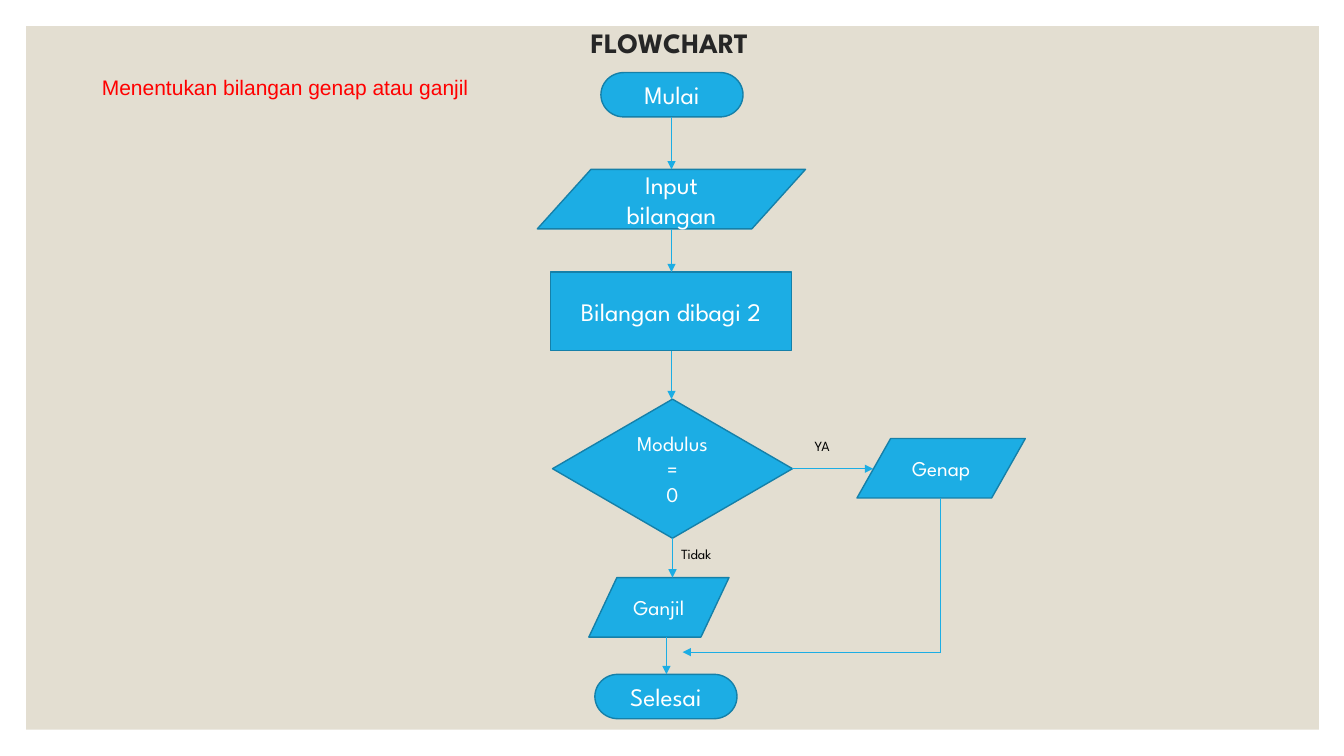
from collections import namedtuple

from lxml import etree
from pptx import Presentation
from pptx.dml.color import RGBColor
from pptx.enum.shapes import MSO_CONNECTOR, MSO_SHAPE
from pptx.enum.text import MSO_ANCHOR, MSO_AUTO_SIZE, PP_ALIGN
from pptx.oxml.ns import qn
from pptx.util import Pt

PX = 9144  # 100 px to the inch
TERMINATOR = MSO_SHAPE.FLOWCHART_TERMINATOR
DATA = MSO_SHAPE.FLOWCHART_DATA
DECISION = MSO_SHAPE.FLOWCHART_DECISION
RECTANGLE = MSO_SHAPE.RECTANGLE
STRAIGHT = MSO_CONNECTOR.STRAIGHT
MIDDLE, TOP = MSO_ANCHOR.MIDDLE, MSO_ANCHOR.TOP
CENTER, LEFT = PP_ALIGN.CENTER, PP_ALIGN.LEFT
NO_AUTOFIT = MSO_AUTO_SIZE.NONE

HEADING_FONT, BODY_FONT = "League Spartan", "Arial"
SAND, BLUE, DARK_BLUE = "E3DED1", "1CADE4", "1580A9"
WHITE, BLACK, CHARCOAL, RED = "FFFFFF", "000000", "262626", "FF0000"

Box = namedtuple("Box", "x y w h")

# Step: preset shape, text size, box inside the flowchart
STEPS = {
    "Mulai": (TERMINATOR, 18, Box(63, 0, 141, 44)),
    "Input bilangan": (DATA, 18, Box(0, 96, 266, 59)),
    "Bilangan dibagi 2": (RECTANGLE, 18, Box(13, 198, 239, 78)),
    "Modulus\n=\n0": (DECISION, 15, Box(15, 324, 238, 138)),
    "Genap": (DATA, 15, Box(317, 363, 167, 59)),
    "Ganjil": (DATA, 15, Box(51, 501, 139, 59)),
    "Selesai": (TERMINATOR, 18, Box(57, 597, 141, 44)),
}
SPINE = ["Mulai", "Input bilangan", "Bilangan dibagi 2", "Modulus\n=\n0", "Ganjil", "Selesai"]
SPINE_X = [133, 133, 133, 134, 128]
ANSWERS = {"YA": Box(256, 359, 53, 22), "Tidak": Box(128, 463, 59, 28)}


def rgb(value):
    return RGBColor.from_string(value)


def inside(outer, inner):
    return Box(outer.x + inner.x, outer.y + inner.y, inner.w, inner.h)


def place(part, box):
    part.left, part.top, part.width, part.height = (length * PX for length in box)


def write(part, text, size, color, font=HEADING_FONT, align=CENTER, anchor=MIDDLE, bold=False):
    frame = part.text_frame
    frame.text = text
    for name, value in {"word_wrap": True, "auto_size": NO_AUTOFIT, "vertical_anchor": anchor}.items():
        setattr(frame, name, value)
    for paragraph in frame.paragraphs:
        paragraph.alignment = align
        for run in paragraph.runs:
            for name, value in {"name": font, "size": Pt(size), "bold": bold}.items():
                setattr(run.font, name, value)
            run.font.color.rgb = rgb(color)


def add_block(slide, preset, box, fill, outline=None):
    block = slide.shapes.add_shape(preset, *(length * PX for length in box))
    block.shadow.inherit = False
    block.fill.solid()
    block.fill.fore_color.rgb = rgb(fill)
    if outline:
        block.line.color.rgb = rgb(outline)
        block.line.width = Pt(1)
    else:
        block.line.fill.background()
    return block


def add_flow_line(slide, box, start, end, arrow=True):
    """Join two points given relative to the box."""
    (x1, y1), (x2, y2) = start, end
    link = slide.shapes.add_connector(STRAIGHT, (box.x + x1) * PX, (box.y + y1) * PX,
                                      (box.x + x2) * PX, (box.y + y2) * PX)
    link.line.color.rgb = rgb(BLUE)
    link.line.width = Pt(0.5)
    properties = link.element.spPr
    if arrow:
        etree.SubElement(properties.find(qn("a:ln")), qn("a:tailEnd"), type="triangle")
    etree.SubElement(properties, qn("a:effectLst"))


def draw_panel(slide, box):
    """Fill the box behind everything else on the slide."""
    panel = add_block(slide, RECTANGLE, box, SAND)
    slide.shapes.element.insert(2, panel.element)


def draw_heading(slide, box):
    title, problem = slide.shapes.title, slide.placeholders[1]
    place(title, inside(box, Box(0, 0, 1150, 46)))
    write(title, "FLOWCHART", 20, CHARCOAL, bold=True)
    title.text_frame.paragraphs[0].line_spacing = 0.9

    place(problem, inside(box, Box(2, 48, 1150, 669)))
    write(problem, "Menentukan bilangan genap atau ganjil", 15, RED, BODY_FONT, LEFT, TOP)
    paragraph = problem.text_frame.paragraphs[0]
    paragraph.space_before = Pt(9)
    indents = paragraph._p.get_or_add_pPr()
    indents.set("marL", "0")
    indents.set("indent", "0")
    etree.SubElement(indents, qn("a:buNone"))


def draw_flowchart(slide, box):
    for text, (preset, size, spot) in STEPS.items():
        step = add_block(slide, preset, inside(box, spot), BLUE, DARK_BLUE)
        write(step, text, size, WHITE)

    spots = [STEPS[text][2] for text in SPINE]
    for x, source, target in zip(SPINE_X, spots, spots[1:]):
        add_flow_line(slide, box, (x, source.y + source.h), (x, target.y))

    modulus, even = STEPS["Modulus\n=\n0"][2], STEPS["Genap"][2]
    middle = modulus.y + modulus.h // 2
    add_flow_line(slide, box, (modulus.x + modulus.w, middle), (even.x + even.w // 10, middle))
    corner = (even.x + even.w // 2, 575)
    add_flow_line(slide, box, (corner[0], even.y + even.h), corner, arrow=False)
    add_flow_line(slide, box, corner, (144, corner[1]))

    for text, spot in ANSWERS.items():
        answer = slide.shapes.add_textbox(*(length * PX for length in inside(box, spot)))
        write(answer, text, 10, BLACK)


def main():
    deck = Presentation()
    deck.slide_width, deck.slide_height = 1333 * PX, 750 * PX
    slide = deck.slides.add_slide(deck.slide_layouts[1])
    draw_panel(slide, Box(26, 26, 1282, 698))
    draw_heading(slide, Box(89, 21, 1150, 717))
    draw_flowchart(slide, Box(533, 72, 484, 641))
    deck.save("out.pptx")


if __name__ == "__main__":
    main()
